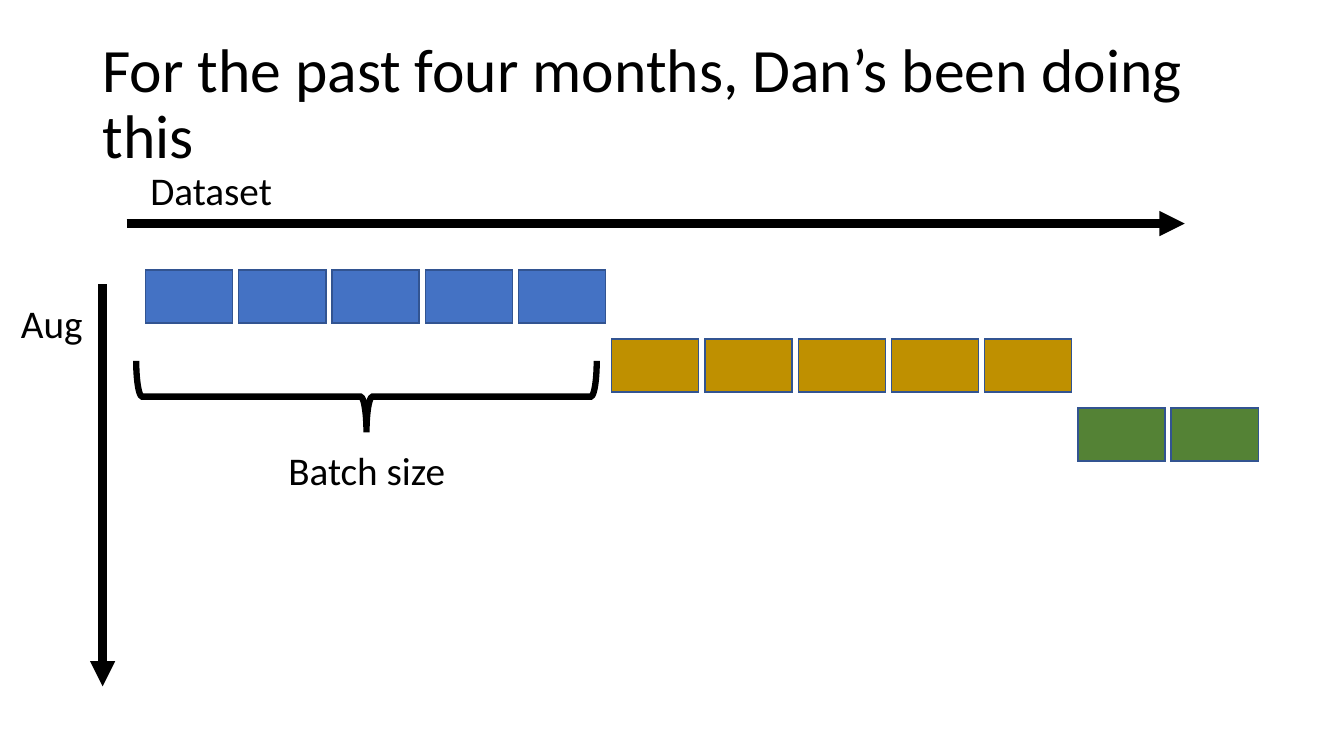
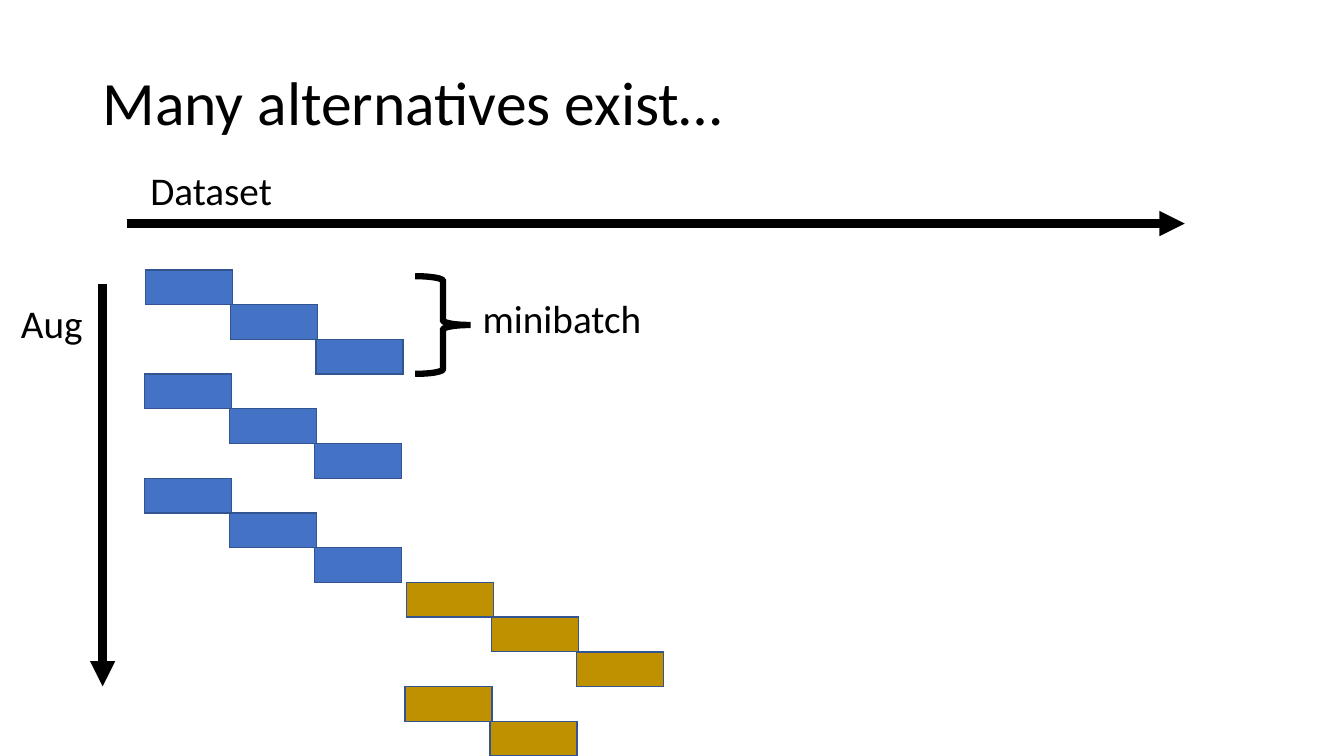
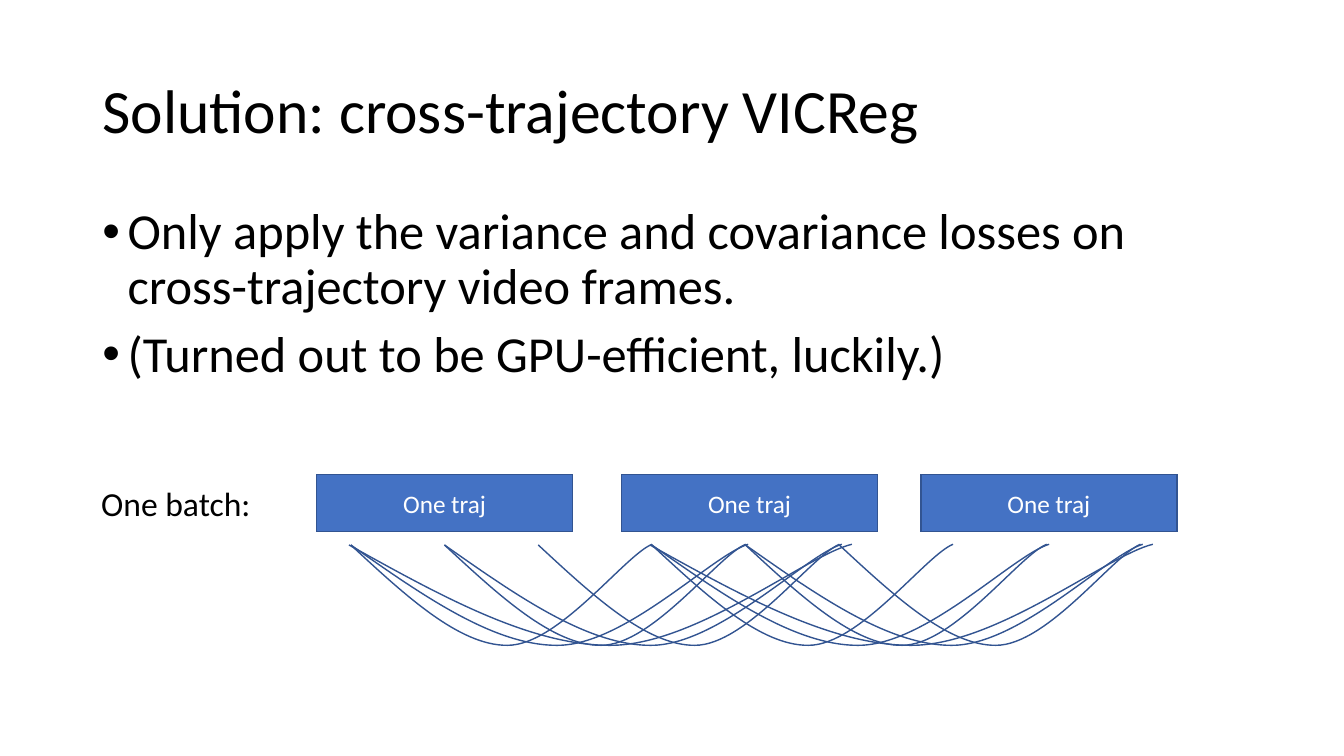
"""Build three slides on batching data and cross-trajectory losses."""
from lxml import etree
from pptx import Presentation, util as u
from pptx.dml.color import RGBColor
from pptx.enum import shapes as es, text as et
from pptx.oxml.ns import qn

Pt = u.Pt
BLACK = RGBColor(0, 0, 0)
WHITE = RGBColor(255, 255, 255)
BLUE = RGBColor(0x44, 0x72, 0xC4)
GOLD = RGBColor(0xBF, 0x90, 0x00)
GREEN = RGBColor(0x54, 0x82, 0x35)
EDGE = RGBColor(0x32, 0x54, 0x91)
FONT = "Calibri"
LEFT, MID, RIGHT = et.PP_ALIGN.LEFT, et.PP_ALIGN.CENTER, et.PP_ALIGN.RIGHT
TOP, CENTRE = et.MSO_ANCHOR.TOP, et.MSO_ANCHOR.MIDDLE

HEADS = [
    ("For the past four months, Dan’s been doing this", (66, 18, 828, 115)),
    ("Many alternatives exist…", (66, 18, 828, 115)),
    ("Solution: cross-trajectory VICReg", (66, 28.8, 828, 104.4)),
]
POINTS = [
    "Only apply the variance and covariance losses on cross-trajectory video frames.",
    "(Turned out to be GPU-efficient, luckily.)",
]
AXES = [
    ("Dataset", (100.3, 115.2, 149.8, 41), LEFT, (90.5, 159.7, 846.2, 159.7)),
    ("Aug", (-12.4, 210.2, 78.5, 41), RIGHT, (73.3, 203, 73.3, 490.3)),
]
BATCHES = [(5, BLUE), (5, GOLD), (2, GREEN)]
MINIS = [(104, 3, BLUE), (103.2, 3, BLUE), (103.2, 3, BLUE),
         (290.4, 3, GOLD), (289.2, 2, GOLD)]
CELL, TALL, LOW = 62.2, 38, 24.8
START, ROOF = 104, 192.8
TRAJS = [226.2, 444, 657.8]
ARCS = [(250.6, 215.2), (250.6, 283.8), (249.3, 359.2),
        (317.5, 215.2), (384.5, 215.2), (317.5, 283.8)]
HOP = 215
CURVE = [(0, 389.3), (0.18, 425.2), (0.36, 461.2), (0.52, 461),
         (0.69, 461), (0.91, 396.5), (1, 388.8)]


def write(frame, lines, size=28, color=BLACK, align=LEFT, anchor=TOP,
          space=1, gap=0, bullet=None):
    """Fill a text frame with formatted paragraphs."""
    frame.word_wrap = True
    frame.auto_size = et.MSO_AUTO_SIZE.NONE
    frame.vertical_anchor = anchor
    for i, line in enumerate(lines):
        para = frame.paragraphs[0] if i == 0 else frame.add_paragraph()
        para.alignment = align
        para.line_spacing = space
        para.space_before = Pt(gap if i else 0)
        if bullet:
            prop = para._p.get_or_add_pPr()
            prop.set("marL", str(Pt(18)))
            prop.set("indent", str(-Pt(18)))
            etree.SubElement(prop, qn("a:buFont")).set("typeface", "Arial")
            etree.SubElement(prop, qn("a:buChar")).set("char", bullet)
        run = para.add_run()
        run.text = line
        run.font.name, run.font.size = FONT, Pt(size)
        run.font.color.rgb = color


def place(holder, box):
    """Move and size a placeholder."""
    holder.left, holder.top, holder.width, holder.height = map(Pt, box)


def label(slide, line, box, **style):
    """Add a one-line text box."""
    write(slide.shapes.add_textbox(*map(Pt, box)).text_frame, [line], **style)


def trim(shape, fill=None, line=EDGE, width=1):
    """Set fill and line, and drop the shadow."""
    shape.shadow.inherit = False
    if fill is None:
        shape.fill.background()
    else:
        shape.fill.solid()
        shape.fill.fore_color.rgb = fill
    shape.line.color.rgb = line
    shape.line.width = Pt(width)
    etree.SubElement(shape.line._get_or_add_ln(), qn("a:miter")).set("lim", "800000")


def block(slide, box, fill):
    """Add a filled rectangle."""
    shape = slide.shapes.add_shape(es.MSO_SHAPE.RECTANGLE, *map(Pt, box))
    trim(shape, fill)
    return shape


def brace(slide, box, turn=0):
    """Add a thick brace."""
    shape = slide.shapes.add_shape(es.MSO_SHAPE.RIGHT_BRACE, *map(Pt, box))
    shape.rotation = turn
    trim(shape, line=BLACK, width=4.5)


def arrow(slide, ends):
    """Add a thick arrow."""
    line = slide.shapes.add_connector(es.MSO_CONNECTOR.STRAIGHT, *map(Pt, ends))
    line.line.color.rgb = BLACK
    line.line.width = Pt(6)
    etree.SubElement(line.line._get_or_add_ln(), qn("a:tailEnd")).set("type", "triangle")
    etree.SubElement(line._element.spPr, qn("a:effectLst"))


def axes(slide):
    """Add the dataset and augmentation axes."""
    for name, box, align, ends in AXES:
        arrow(slide, ends)
        label(slide, name, box, align=align)


def arc(slide, left, width):
    """Add a curve of two cubic parts that links two trajectories."""
    nodes = [(Pt(left + x * width), Pt(y)) for x, y in CURVE]
    pen = slide.shapes.build_freeform(*nodes[0])
    pen.add_line_segments(nodes[1:], close=False)
    shape = pen.convert_to_shape()
    legs = list(shape._element.iter(qn("a:lnTo")))
    for i in range(0, len(legs), 3):
        cubic = etree.Element(qn("a:cubicBezTo"))
        legs[i].addprevious(cubic)
        for leg in legs[i:i + 3]:
            cubic.append(leg[0])
            leg.getparent().remove(leg)
    trim(shape)


def start(deck, head, layout=5):
    """Add a slide with its title."""
    slide = deck.slides.add_slide(deck.slide_layouts[layout])
    title, box = head
    place(slide.shapes.title, box)
    write(slide.shapes.title.text_frame, [title], size=44, anchor=CENTRE, space=0.9)
    return slide


def whole(deck):
    """Show plain batches."""
    slide = start(deck, HEADS[0])
    axes(slide)
    col = 0
    for row, (count, fill) in enumerate(BATCHES):
        for _ in range(count):
            block(slide, (START + col * 66.6, ROOF + row * 49.3, CELL, TALL), fill)
            col += 1
    brace(slide, (236.2, 118.8, 51.1, 329), turn=90)
    label(slide, "Batch size", (187, 315.4, 149.8, 41), align=MID)


def minis(deck):
    """Show minibatches."""
    slide = start(deck, HEADS[1])
    axes(slide)
    brace(slide, (296.6, 197.3, 39.6, 69.8))
    label(slide, "minibatch", (337.7, 206.6, 149.8, 41))
    row = 0
    for left, count, fill in MINIS:
        for col in range(count):
            block(slide, (left + col * 60.8, ROOF + row * LOW, CELL, LOW), fill)
            row += 1


def cross(deck):
    """Show links between trajectories."""
    slide = start(deck, HEADS[2], layout=1)
    body = slide.placeholders[1]
    place(body, (66, 143.8, 828, 257))
    write(body.text_frame, POINTS, size=36, space=0.9, gap=10, bullet="•")
    label(slide, "One batch: ", (62.6, 341.3, 128.9, 36), size=24, align=RIGHT)
    for left in TRAJS:
        shape = block(slide, (left, 339, 182.8, 40.6), BLUE)
        write(shape.text_frame, ["One traj"], size=18, color=WHITE, align=MID, anchor=CENTRE)
    for shift in (0, HOP):
        for left, width in ARCS:
            arc(slide, left + shift, width)


def main():
    """Build and save the deck."""
    deck = Presentation()
    deck.slide_width, deck.slide_height = Pt(960), Pt(540)
    for make in (whole, minis, cross):
        make(deck)
    deck.save("out.pptx")


if __name__ == "__main__":
    main()
